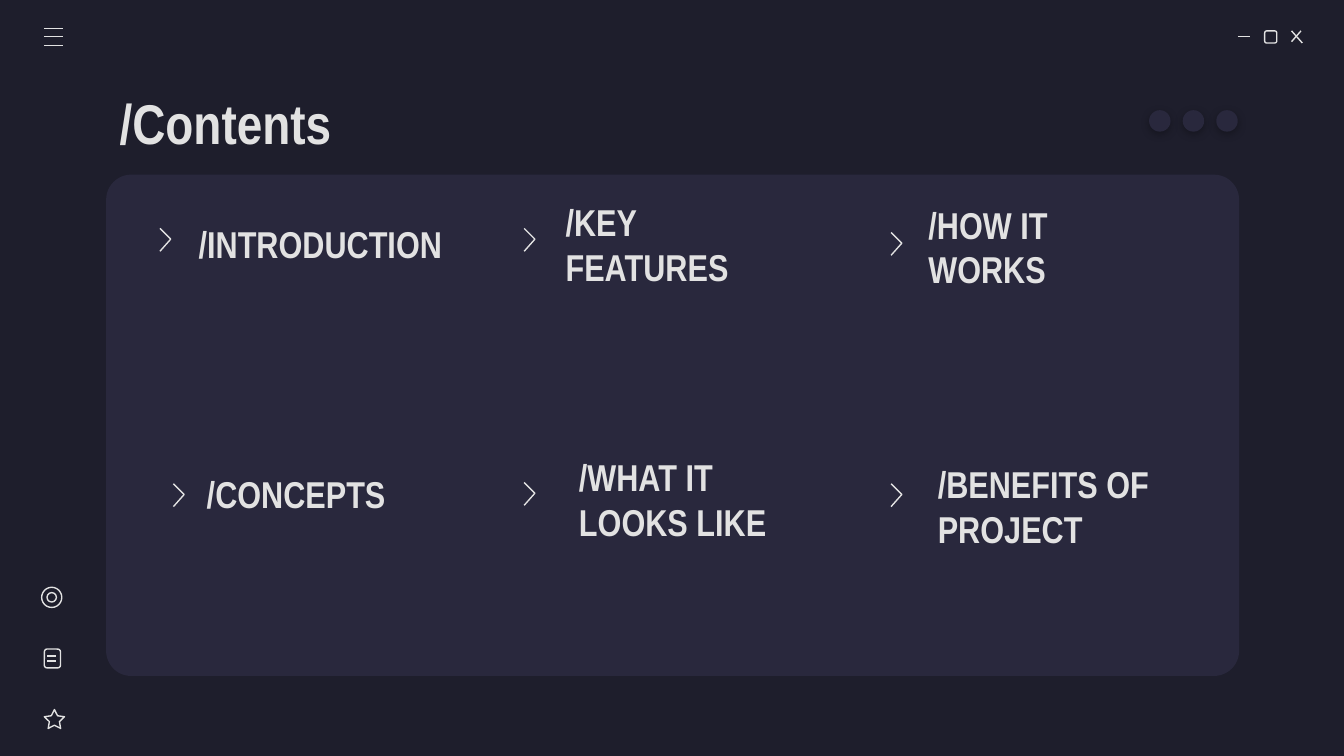
import pptx
import pptx.util
import pptx.dml.color
import pptx.enum.shapes
import pptx.enum.text
import pptx.oxml
import pptx.oxml.ns

Inches = pptx.util.Inches
SHAPE = pptx.enum.shapes.MSO_SHAPE

# Content: label, text box (left, top, width), chevron (left, top)
TITLE = "/Contents"
SECTIONS = [
    ("/INTRODUCTION", (1.38, 1.48, 2.06), (1.19, 1.7)),
    ("/KEY FEATURES", (4.11, 1.48, 1.91), (3.9, 1.7)),
    ("/HOW IT WORKS", (6.81, 1.5, 2), (6.63, 1.73)),
    ("/CONCEPTS", (1.44, 3.34, 2), (1.29, 3.6)),
    ("/WHAT IT LOOKS LIKE", (4.21, 3.38, 2), (3.9, 3.59)),
    ("/BENEFITS OF PROJECT", (6.88, 3.43, 2), (6.63, 3.6)),
]

# Icons: straight strokes (x1, y1, x2, y2) and outlined shapes (kind, place)
STROKES = [
    (9.21, 0.27, 9.3, 0.27),  # minimise
    (9.61, 0.23, 9.69, 0.32),  # close
    (9.68, 0.23, 9.61, 0.31),
]
STROKES += [(0.33, y, 0.47, y) for y in (0.21, 0.27, 0.34)]  # menu
STROKES += [(0.35, y, 0.42, y) for y in (4.88, 4.92)]  # note lines
OUTLINES = [
    (SHAPE.ROUNDED_RECTANGLE, (9.41, 0.23, 0.09, 0.09)),  # maximise
    (SHAPE.STAR_5_POINT, (0.33, 5.28, 0.15, 0.14)),
    (SHAPE.ROUNDED_RECTANGLE, (0.33, 4.83, 0.12, 0.14)),  # note
    (SHAPE.OVAL, (0.31, 4.37, 0.15, 0.15)),  # ring
    (SHAPE.OVAL, (0.35, 4.41, 0.07, 0.07)),
]
STAR_ADJUSTMENTS = (0.25, 1.05, 1.11)

THEME = {
    "back": pptx.dml.color.RGBColor.from_string("1E1E2C"),
    "panel": pptx.dml.color.RGBColor.from_string("29283D"),
    "ink": pptx.dml.color.RGBColor.from_string("E2E2E2"),
    "font": "Arial Narrow",
    "title": 30,
    "heading": 20,
    "stroke": 0.75,
}
DOT_SHADOW = (
    '<a:effectLst %s><a:outerShdw blurRad="57150" dist="19050" dir="5400000" '
    'algn="bl" rotWithShape="0"><a:srgbClr val="000000"><a:alpha val="30000"/>'
    "</a:srgbClr></a:outerShdw></a:effectLst>" % pptx.oxml.ns.nsdecls("a")
)


def place(shape, left, top, width, height):
    shape.left, shape.top = Inches(left), Inches(top)
    shape.width, shape.height = Inches(width), Inches(height)


def write(box, text, size):
    frame = box.text_frame
    frame.word_wrap = True
    frame.auto_size = pptx.enum.text.MSO_AUTO_SIZE.NONE
    frame.vertical_anchor = pptx.enum.text.MSO_ANCHOR.MIDDLE
    frame.margin_left = frame.margin_right = Inches(0.1)
    frame.margin_top = frame.margin_bottom = Inches(0.1)
    para = frame.paragraphs[0]
    para.alignment = pptx.enum.text.PP_ALIGN.LEFT
    span = para.add_run()
    span.text = text
    span.font.name = THEME["font"]
    span.font.size = pptx.util.Pt(size)
    span.font.bold = True
    span.font.color.rgb = THEME["ink"]


def ink_line(shape):
    shape.line.color.rgb = THEME["ink"]
    shape.line.width = pptx.util.Pt(THEME["stroke"])


def outline(shape):
    shape.shadow.inherit = False
    shape.fill.background()
    ink_line(shape)


def add_solid(page, kind, *spot):
    shape = page.shapes.add_shape(kind, *map(Inches, spot))
    shape.shadow.inherit = False
    shape.fill.solid()
    shape.fill.fore_color.rgb = THEME["panel"]
    shape.line.fill.background()
    return shape


def add_stroke(page, *ends):
    stroke = page.shapes.add_connector(
        pptx.enum.shapes.MSO_CONNECTOR.STRAIGHT, *map(Inches, ends))
    ink_line(stroke)
    properties = stroke._element.spPr
    properties.append(pptx.oxml.parse_xml(
        "<a:effectLst %s/>" % pptx.oxml.ns.nsdecls("a")))


def add_chevron(page, left, top):
    pen = page.shapes.build_freeform(Inches(left), Inches(top))
    pen.add_line_segments([
        (Inches(left + 0.08), Inches(top + 0.08)),
        (Inches(left), Inches(top + 0.17)),
    ], close=False)
    outline(pen.convert_to_shape())


def main():
    deck = pptx.Presentation()
    deck.slide_width = Inches(10)
    deck.slide_height = deck.slide_width * 9 // 16
    page = deck.slides.add_slide(deck.slide_layouts[5])
    page.background.fill.solid()
    page.background.fill.fore_color.rgb = THEME["back"]

    # Panel and title
    panel = add_solid(page, SHAPE.ROUNDED_RECTANGLE, 0.79, 1.3, 8.43, 3.73)
    panel.adjustments[0] = 0.05
    title = page.shapes.title
    place(title, 0.79, 0.59, 8.43, 0.63)
    write(title, TITLE, THEME["title"])

    # Window, menu and sidebar icons
    for kind, spot in OUTLINES:
        icon = page.shapes.add_shape(kind, *map(Inches, spot))
        if kind == SHAPE.STAR_5_POINT:
            for index, value in enumerate(STAR_ADJUSTMENTS):
                icon.adjustments[index] = value
        outline(icon)
    for ends in STROKES:
        add_stroke(page, *ends)

    # Section headings with their chevrons
    for label, (left, top, width), chevron in SECTIONS:
        box = page.shapes.add_textbox(
            Inches(left), Inches(top), Inches(width), Inches(0.67))
        write(box, label, THEME["heading"])
        add_chevron(page, *chevron)

    # Three dots with a soft shadow
    for index in range(3):
        dot = add_solid(page, SHAPE.OVAL, 8.55 + 0.25 * index, 0.82, 0.16, 0.16)
        properties = dot._element.spPr
        properties.remove(properties.find(pptx.oxml.ns.qn("a:effectLst")))
        properties.append(pptx.oxml.parse_xml(DOT_SHADOW))

    deck.save("out.pptx")


if __name__ == "__main__":
    main()
